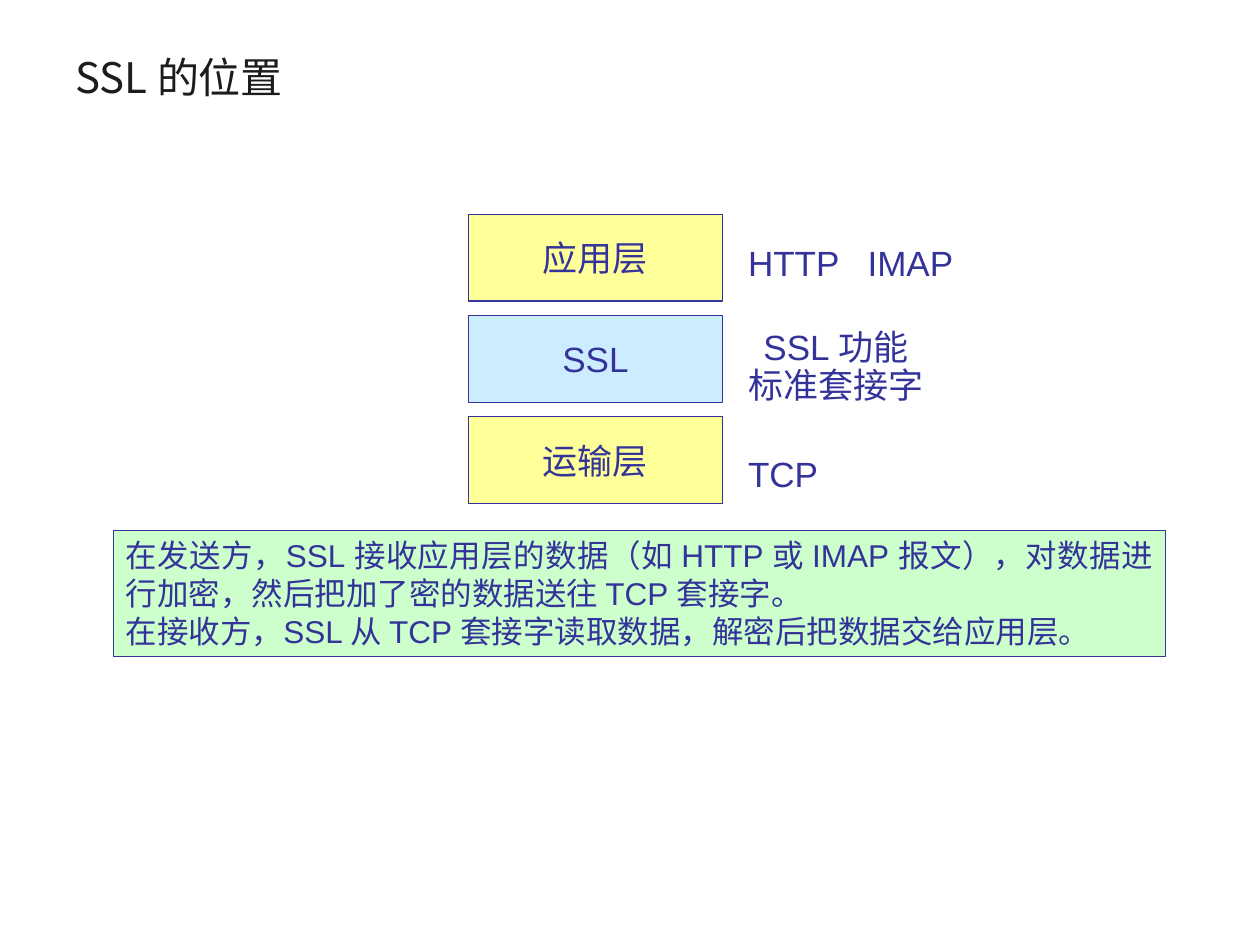
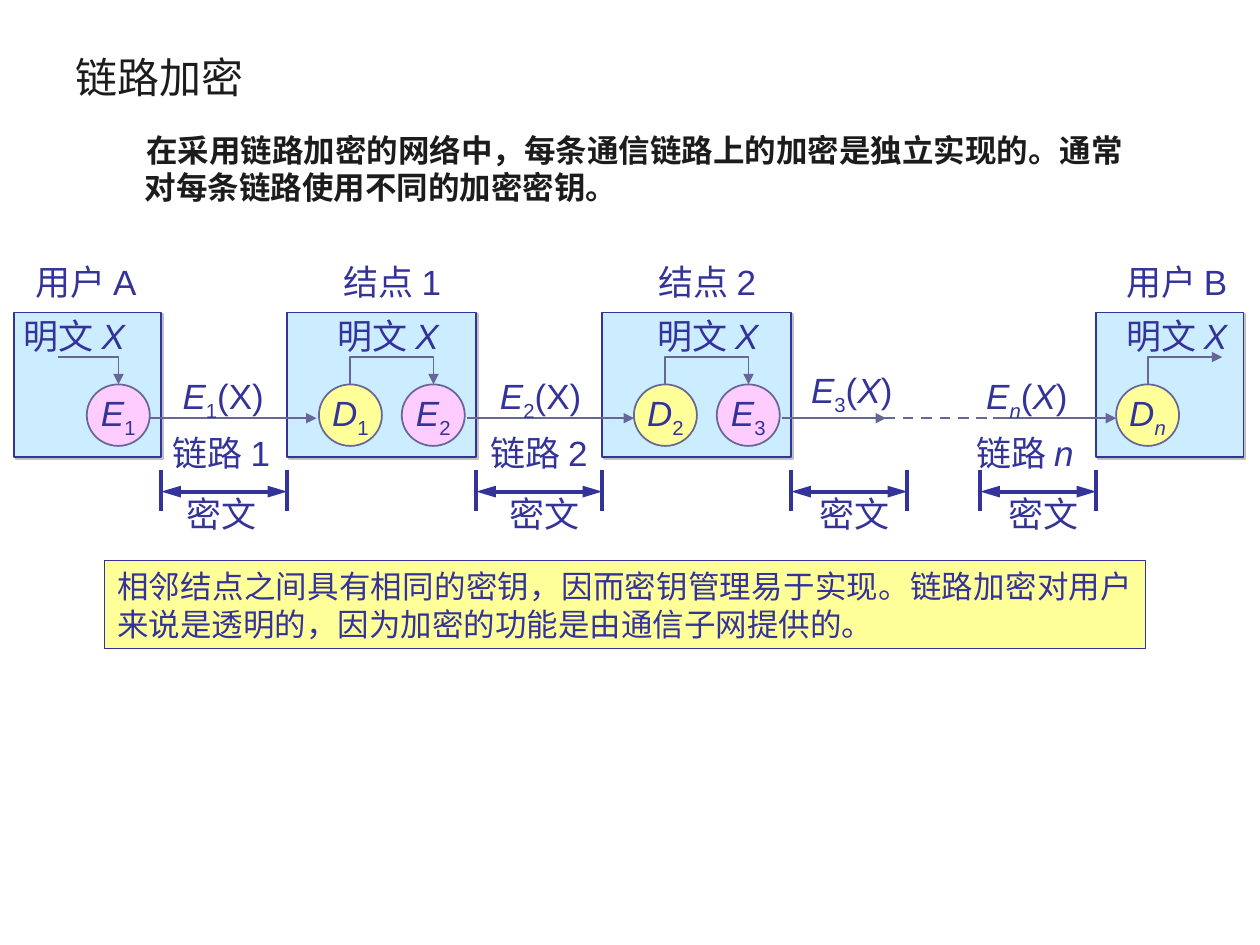
from lxml import etree
from pptx import Presentation
from pptx import util as u
from pptx.dml.color import RGBColor
from pptx.enum import dml, shapes, text
from pptx.oxml.ns import qn

C = {"ink": "1C1C1C", "navy": "333399", "slate": "666699", "yellow": "FFFF99",
     "sky": "CCECFF", "green": "CCFFCC", "pink": "FFCCFF", "grey": "C0C0C0"}
CJK = "Noto Sans CJK SC"
RECT, OVAL = shapes.MSO_SHAPE.RECTANGLE, shapes.MSO_SHAPE.OVAL
CENTER, JUSTIFY = text.PP_ALIGN.CENTER, text.PP_ALIGN.JUSTIFY
MIDDLE = text.MSO_ANCHOR.MIDDLE

LABEL = {"tf": {"word_wrap": True, "auto_size": text.MSO_AUTO_SIZE.NONE}}
CENTERED = {"tf": {"word_wrap": False, "vertical_anchor": MIDDLE}, "p": {"alignment": CENTER}}
TITLE = {"tf": {"word_wrap": True, "vertical_anchor": MIDDLE},
         "font": {"size": u.Pt(24), "name": CJK}, "color": "ink"}
BODY = {"tf": {"word_wrap": True}, "color": "ink",
        "font": {"size": u.Pt(18), "name": CJK, "bold": True}}
NOTE = {"tf": {"word_wrap": True, "vertical_anchor": text.MSO_ANCHOR.TOP},
        "p": {"alignment": JUSTIFY}, "font": {"size": u.Pt(18)}}


def put(s, box, paras, style, kind=None, fill=None, edge="navy", width=0.75):
    box = [u.Cm(v) for v in box]
    sp = s.shapes.add_shape(kind, *box) if kind else s.shapes.add_textbox(*box)
    if kind:
        sp.shadow.inherit = False
        sp.fill.solid()
        sp.fill.fore_color.rgb = RGBColor.from_string(C[fill])
        sp.line.color.rgb = RGBColor.from_string(C[edge])
        sp.line.width = u.Pt(width)
    tf = sp.text_frame
    for k, v in style.get("tf", {}).items():
        setattr(tf, k, v)
    for i, runs in enumerate(paras):
        p = tf.add_paragraph() if i else tf.paragraphs[0]
        for k, v in {"alignment": text.PP_ALIGN.LEFT, **style.get("p", {})}.items():
            setattr(p, k, v)
        for content, flags in [(runs, "")] if isinstance(runs, str) else runs:
            r = p.add_run()
            r.text = content
            r.font.color.rgb = RGBColor.from_string(C[style.get("color", "navy")])
            font = {"size": u.Pt(20), "name": "Arial", **style.get("font", {})}
            for k, v in {**font, "italic": "i" in flags}.items():
                setattr(r.font, k, v)
            rPr = r.font._element
            if "s" in flags:
                rPr.set("baseline", "-25000")
            etree.SubElement(rPr, qn("a:ea"), typeface=CJK)
    return sp


def stroke(s, pts, color, width, ends=(), dash=None, head_len="med"):
    pts = [(u.Cm(x), u.Cm(y)) for x, y in pts]
    if len(pts) == 2:
        sp = s.shapes.add_connector(shapes.MSO_CONNECTOR.STRAIGHT, *pts[0], *pts[1])
    else:
        fb = s.shapes.build_freeform(*pts[0], scale=1.0)
        fb.add_line_segments(pts[1:], close=False)
        sp = fb.convert_to_shape()
        sp.fill.background()
    sp.line.color.rgb = RGBColor.from_string(C[color])
    sp.line.width = u.Pt(width)
    if dash:
        sp.line.dash_style = dash
    for end in ends:
        etree.SubElement(sp.line._get_or_add_ln(), qn("a:" + end), type="triangle", len=head_len)
    etree.SubElement(sp._element.spPr, qn("a:effectLst"))


prs = Presentation()
prs.slide_width, prs.slide_height = u.Cm(25.4), u.Cm(19.05)
slides = []
for title in ("SSL 的位置", "链路加密"):
    s = prs.slides.add_slide(prs.slide_layouts[6])
    put(s, (1.27, 0.77, 22.86, 1.55), [title], TITLE)
    slides.append(s)

s = slides[0]
for i, (layer, fill) in enumerate([("应用层", "yellow"), ("SSL", "sky"), ("运输层", "yellow")]):
    put(s, (9.45, 4.32 + i * 2.04, 5.11, 1.75), [layer], CENTERED, RECT, fill)
sp = put(s, (14.83, 4.75, 4.9, 1.12), ["HTTP\tIMAP"], LABEL)
tabs = etree.SubElement(sp.text_frame.paragraphs[0]._p.get_or_add_pPr(), qn("a:tabLst"))
etree.SubElement(tabs, qn("a:tab"), pos=str(u.Cm(2.41)), algn="l")
put(s, (14.83, 6.53, 4.04, 1.78), ["SSL 功能", "标准套接字"],
    {**LABEL, "p": {"alignment": CENTER, "line_spacing": 0.9}})
put(s, (14.83, 8.99, 2.1, 1.12), ["TCP"], LABEL)
put(s, (2.29, 10.69, 21.21, 2.54),
    ["在发送方，SSL 接收应用层的数据（如 HTTP 或 IMAP 报文），对数据进行加密，然后把加了密的数据送往 TCP 套接字。",
     "在接收方，SSL 从 TCP 套接字读取数据，解密后把数据交给应用层。"], NOTE, RECT, "green")

s = slides[1]
sp = put(s, (1.7, 2.51, 21.59, 4.39),
         ["在采用链路加密的网络中，每条通信链路上的加密是独立实现的。通常对每条链路使用不同的加密密钥。"], BODY)
pPr = sp.text_frame.paragraphs[0]._p.get_or_add_pPr()
pPr.set("marL", str(u.Cm(0.97)))
pPr.set("indent", str(u.Cm(0.03)))

circle_y, elbow_y = 7.75, 7.2
nodes = [
    ("结点 1", 5.79, 3.81, 6.68, 6.55, {"D": ("1", 6.43), "E": ("2", 8.1)}, (7.06, 8.74)),
    ("结点 2", 12.14, 3.81, 13.03, 13.0, {"D": ("2", 12.78), "E": ("3", 14.45)}, (13.41, 15.09)),
    ("用户 B", 22.1, 2.97, 22.45, 22.45, {"D": ("n", 22.5)}, (23.14, 24.64)),
    ("用户 A", 0.28, 2.97, 0.46, 0.23, {"E": ("1", 1.75)}, (1.17, 2.39)),
]
for name, x, w, name_x, plain_x, circles, (x1, x2) in nodes:
    sp = put(s, (x, 6.3, w, 2.92), [], CENTERED, RECT, "sky", width=1)
    effects = sp._element.spPr.find(qn("a:effectLst"))
    shadow = etree.SubElement(effects, qn("a:outerShdw"), blurRad="0",
                              dist=str(u.Pt(1.4)), dir="2700000", algn="ctr", rotWithShape="0")
    etree.SubElement(shadow, qn("a:srgbClr"), val=C["grey"])
    for letter, (sub, cx) in circles.items():
        put(s, (cx, circle_y, 1.27, 1.24), [[(letter, "i"), (sub, "si" if sub == "n" else "s")]],
            CENTERED, OVAL, {"D": "yellow", "E": "pink"}[letter], "slate", 1)
    pts = [(x1, elbow_y), (x2, elbow_y)]
    if "D" in circles:
        pts.insert(0, (x1, circle_y))
    if "E" in circles:
        pts.append((x2, circle_y))
    stroke(s, pts, "slate", 1, ["tailEnd"])
    put(s, (plain_x, 6.22, 2.9, 1.12), [[("明文 ", ""), ("X", "i")]], LABEL)
    put(s, (name_x, 5.13, 2.9, 1.12), [name], LABEL)

wire_y, key_y = 8.43, 9.91
links = [
    ("1", 3.02, 6.38, 3.23, 7.24, 3.25, 5.79, 3.51),
    ("2", 9.42, 12.78, 9.63, 7.24, 9.6, 12.14, 10.03),
    ("n", 20.02, 22.5, 19.43, 7.24, 19.76, 22.1, 20.09),
    ("3", 15.77, 17.86, 15.9, 7.11, 15.95, 18.29, 16.28),
]
for sub, x1, x2, label_x, label_y, left, right, key_x in links:
    stroke(s, [(x1, wire_y), (x2, wire_y)], "slate", 1.5, ["tailEnd"])
    var = "i" if sub == "n" else ""
    paras = [[("E", "i"), (sub, "s" + var)]]
    paras[0] += [("(X)", "")] if sub in "12" else [("(", ""), ("X", "i"), (")", "")]
    if sub != "3":
        paras.append([("链路 ", ""), (sub, var)])
    sp = put(s, (label_x, label_y, 2.8, 2.44), paras, {**LABEL, "p": {"line_spacing": 1.2}})
    sp.text_frame.paragraphs[0]._p.get_or_add_pPr().set("indent", str(u.Cm(0.2)))
    stroke(s, [(left, key_y), (right, key_y)], "navy", 2.25, ["headEnd", "tailEnd"], head_len="lg")
    for x in (left, right):
        stroke(s, [(x, 9.47), (x, 10.31)], "navy", 2.25)
    put(s, (key_x, 9.8, 2.1, 1.12), ["密文"], LABEL)
stroke(s, [(17.83, wire_y), (19.99, wire_y)], "slate", 1.5, dash=dml.MSO_LINE.DASH)

put(s, (2.11, 11.3, 20.98, 1.78),
    ["相邻结点之间具有相同的密钥，因而密钥管理易于实现。链路加密对用户来说是透明的，因为加密的功能是由通信子网提供的。"],
    {**NOTE, "font": {"size": u.Pt(18), "name": CJK}}, RECT, "yellow")

prs.save("out.pptx")
